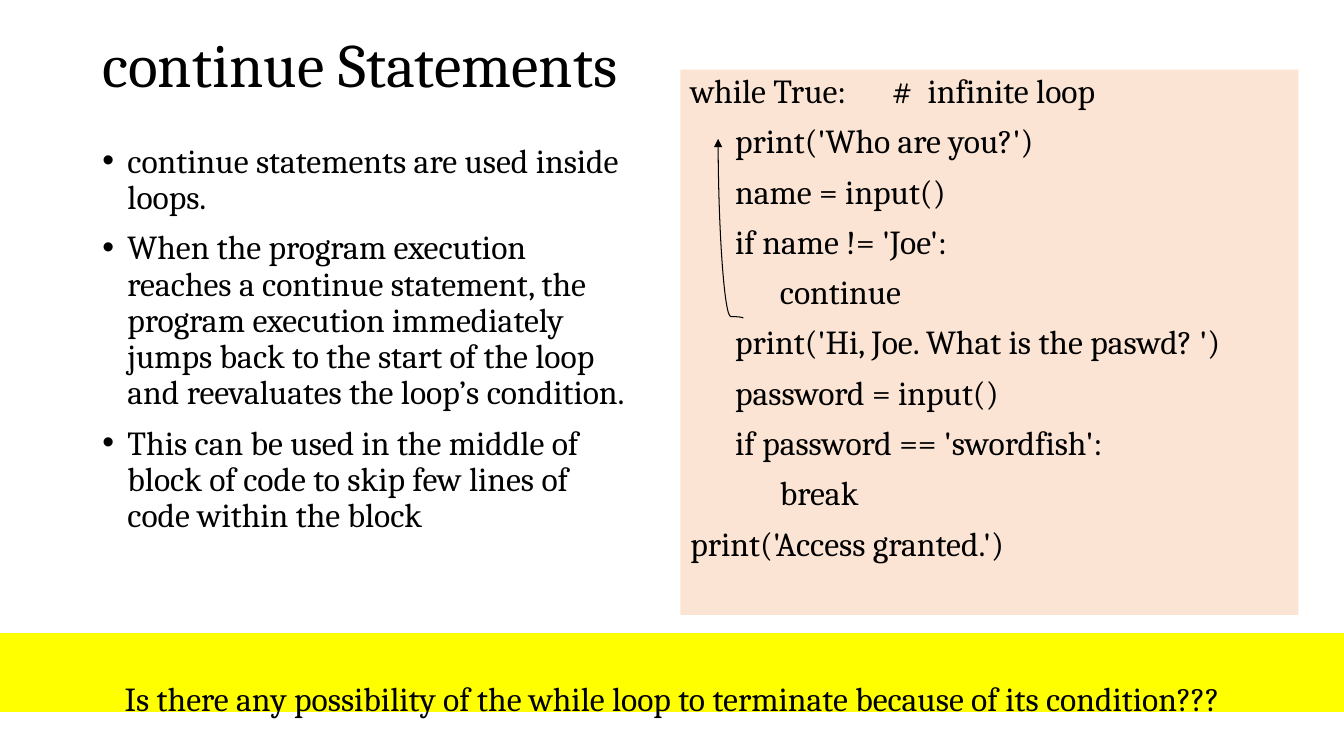
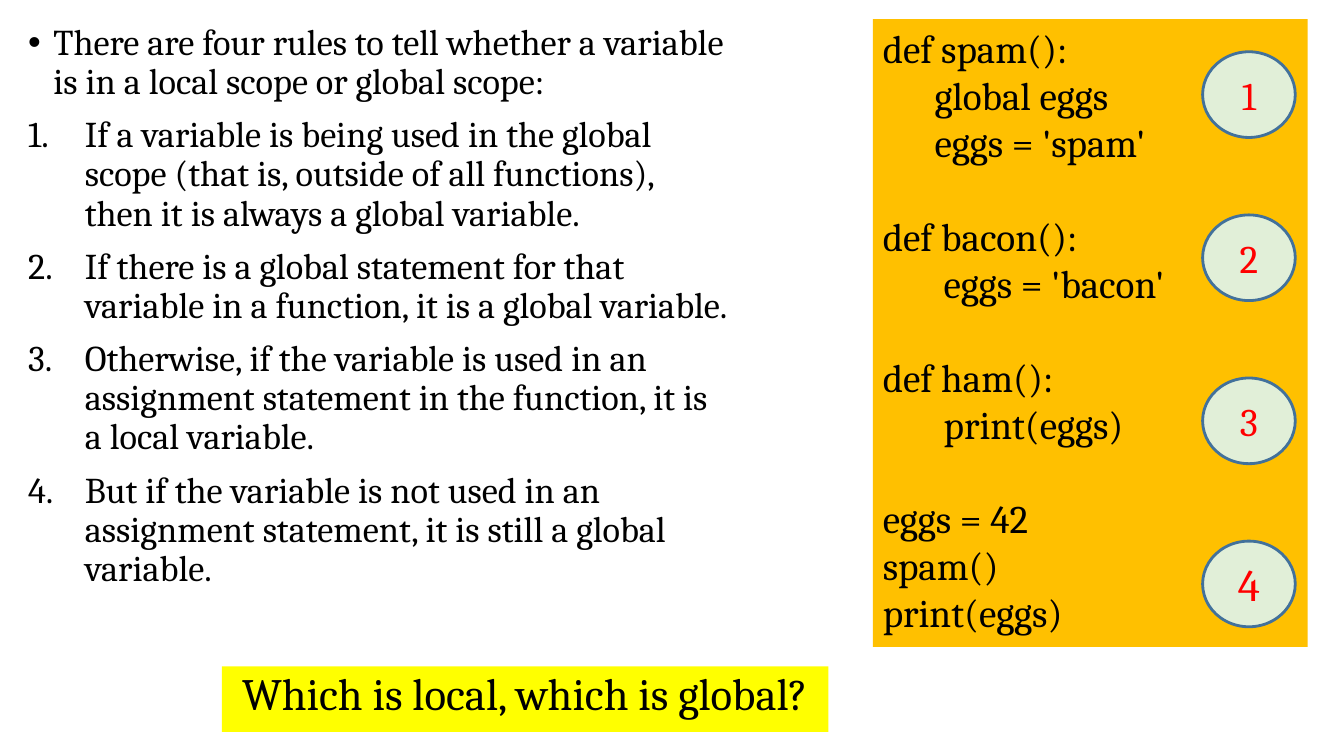
from dataclasses import dataclass

from lxml.etree import SubElement
from pptx import Presentation
from pptx.dml.color import RGBColor
from pptx.enum.shapes import MSO_CONNECTOR as Connector, MSO_SHAPE as Preset
from pptx.enum.text import MSO_ANCHOR as Anchor, MSO_AUTO_SIZE as AutoSize, PP_ALIGN as Align
from pptx.oxml.ns import qn
from pptx.util import Pt


@dataclass(frozen=True)
class Theme:
    font: str = "Cambria"
    ink: str = "000000"
    highlight: str = "FFFF00"
    peach: str = "FBE4D4"
    amber: str = "FFC000"
    badge_fill: str = "E1EFD8"
    badge_line: str = "42719B"
    badge_text: str = "FF0000"
    title: float = 44
    question: float = 32
    code: float = 28
    rules: float = 25.9
    body: float = 24
    tight: float = 0.9
    paragraph_gap: float = 10


@dataclass(frozen=True)
class Line:
    text: str
    indent: float = 0
    hanging: float = 0
    gap: float = 0
    marker: str = ""
    tab: float = 0


THEME = Theme()
TITLE_ONLY, BLANK = 5, 6


def rgb(colour):
    return RGBColor.from_string(colour)


def format_paragraph(paragraph, line):
    """Set the indents, the bullet or number and the tab stop of a paragraph."""
    properties = paragraph._p.get_or_add_pPr()
    properties.set("marL", str(Pt(line.indent)))
    properties.set("indent", str(-Pt(line.hanging)))
    if line.marker == "number":
        SubElement(properties, qn("a:buFont"), typeface=THEME.font)
        SubElement(properties, qn("a:buAutoNum"), type="arabicPeriod")
    elif line.marker:
        SubElement(properties, qn("a:buFont"), typeface="Arial")
        SubElement(properties, qn("a:buChar"), char=line.marker)
    if line.tab:
        stops = SubElement(properties, qn("a:tabLst"))
        SubElement(stops, qn("a:tab"), pos=str(Pt(line.tab)), algn="l")


def write_text(shape, lines, size=THEME.body, colour=THEME.ink, align=Align.LEFT,
               anchor=Anchor.TOP, spacing=1.0, gap=0):
    """Fill a shape with lines; gap is the space before all but the first."""
    frame = shape.text_frame
    frame.word_wrap = True
    frame.auto_size = AutoSize.NONE
    frame.vertical_anchor = anchor
    for index, line in enumerate(lines):
        paragraph = frame.add_paragraph() if index else frame.paragraphs[0]
        paragraph.alignment = align
        paragraph.line_spacing = spacing
        paragraph.space_before = Pt(line.gap + (gap if index else 0))
        format_paragraph(paragraph, line)
        run = paragraph.add_run()
        run.text = line.text
        run.font.name = THEME.font
        run.font.size = Pt(size)
        run.font.color.rgb = rgb(colour)


def place(shape, box):
    shape.left, shape.top, shape.width, shape.height = map(Pt, box)


def add_title(slide, text, box):
    title = slide.shapes.title
    place(title, box)
    write_text(title, [Line(text)], size=THEME.title, anchor=Anchor.MIDDLE,
               spacing=THEME.tight)


def add_text(slide, box, lines, **text_format):
    write_text(slide.shapes.add_textbox(*map(Pt, box)), lines, **text_format)


def add_panel(slide, box, fill, lines, preset=Preset.RECTANGLE, outline=None, **text_format):
    panel = slide.shapes.add_shape(preset, *map(Pt, box))
    panel.shadow.inherit = False
    panel.fill.solid()
    panel.fill.fore_color.rgb = rgb(fill)
    if outline:
        panel.line.color.rgb = rgb(outline)
        panel.line.width = Pt(2)
    else:
        panel.line.fill.background()
    write_text(panel, lines, **text_format)


def add_jump_arrow(slide, centre_x, centre_y, width, height):
    """Draw a curved arrow from bottom right to top left, as a quarter-turned connector."""
    left, right = centre_x - height / 2, centre_x + height / 2
    top, bottom = centre_y - width / 2, centre_y + width / 2
    arrow = slide.shapes.add_connector(Connector.CURVE, *map(Pt, (right, top, left, bottom)))
    arrow.line.color.rgb = rgb(THEME.ink)
    arrow.line.width = Pt(0.75)
    SubElement(arrow.line._get_or_add_ln(), qn("a:tailEnd"), type="triangle")
    properties = arrow._element.spPr
    SubElement(properties, qn("a:effectLst"))
    properties.find(qn("a:xfrm")).set("rot", str(90 * 60000))
    adjustments = properties.find(qn("a:prstGeom")).find(qn("a:avLst"))
    SubElement(adjustments, qn("a:gd"), name="adj1", fmla="val 900")


def add_badges(slide, left, top, pitch, sizes):
    for index, size in enumerate(sizes):
        add_panel(slide, (left, top + index * pitch, 66.2, 61.2), THEME.badge_fill,
                  [Line(str(index + 1))], preset=Preset.OVAL, outline=THEME.badge_line,
                  size=size, colour=THEME.badge_text, align=Align.CENTER,
                  anchor=Anchor.MIDDLE)


def bullet(text):
    return Line(text, indent=18, hanging=18, marker="•")


def numbered(text):
    return Line(text, indent=40.5, hanging=40.5, marker="number")


def build_continue_slide(presentation):
    slide = presentation.slides.add_slide(presentation.slide_layouts[TITLE_ONLY])
    spaced = {"spacing": THEME.tight, "gap": THEME.paragraph_gap}
    step = 32
    add_title(slide, "continue Statements", (66, 16.5, 828, 63.5))
    add_text(slide, (66, 99.5, 387.5, 385), [
        bullet("continue statements are used inside loops."),
        bullet("When the program execution reaches a continue statement, the program "
               "execution immediately jumps back to the start of the loop and "
               "reevaluates the loop’s condition."),
        bullet("This can be used in the middle of block of code to skip few lines of "
               "code within the block"),
    ], **spaced)
    add_panel(slide, (486, 49.7, 441.5, 389.5), THEME.peach, [
        Line("while True:\t#  infinite loop", tab=191.5),
        Line("print('Who are you?')", step),
        Line("name = input()", step),
        Line("if name != 'Joe':", step),
        Line("continue", 2 * step),
        Line("print('Hi, Joe. What is the paswd? ')", step),
        Line("password = input()", step),
        Line("if password == 'swordfish':", step),
        Line("break", 2 * step),
        Line("print('Access granted.')"),
    ], **spaced)
    add_jump_arrow(slide, centre_x=522, centre_y=163.2, width=18, height=128)
    add_panel(slide, (0, 452.2, 960, 56.2), THEME.highlight, [
        Line("Is there any possibility of the while loop to terminate because of its "
             "condition???"),
    ], align=Align.CENTER, spacing=2.0)


def build_scope_slide(presentation):
    slide = presentation.slides.add_slide(presentation.slide_layouts[BLANK])
    step, wide_step, block_gap = 37, 43.5, 33.6
    add_text(slide, (13, 13.7, 514, 443.5), [
        bullet("There are four rules to tell whether a variable is in a local scope or "
               "global scope:"),
        numbered("If a variable is being used in the global scope (that is, outside of "
                 "all functions), then it is always a global variable."),
        numbered("If there is a global statement for that variable in a function, it is "
                 "a global variable."),
        numbered("Otherwise, if the variable is used in an assignment statement in the "
                 "function, it is a local variable."),
        numbered("But if the variable is not used in an assignment statement, it is "
                 "still a global variable."),
    ], size=THEME.rules, spacing=THEME.tight, gap=THEME.paragraph_gap)
    add_panel(slide, (623.5, 13.7, 310.5, 448.5), THEME.amber, [
        Line("def spam():"),
        Line("global eggs", step),
        Line("eggs = 'spam'", step),
        Line("def bacon():", gap=block_gap),
        Line("eggs = 'bacon'", wide_step),
        Line("def ham():", gap=block_gap),
        Line("print(eggs)", wide_step),
        Line("eggs = 42", gap=block_gap),
        Line("spam()"),
        Line("print(eggs)"),
    ], size=THEME.code)
    add_panel(slide, (158.4, 476, 433.4, 46.8), THEME.highlight,
              [Line("Which is local, which is global?")],
              size=THEME.question, align=Align.CENTER, spacing=THEME.tight)
    add_badges(slide, left=859, top=37, pitch=116.5,
               sizes=[THEME.code] * 3 + [THEME.question])


def main():
    presentation = Presentation()
    presentation.slide_width, presentation.slide_height = Pt(960), Pt(540)
    build_continue_slide(presentation)
    build_scope_slide(presentation)
    presentation.save("out.pptx")


if __name__ == "__main__":
    main()
